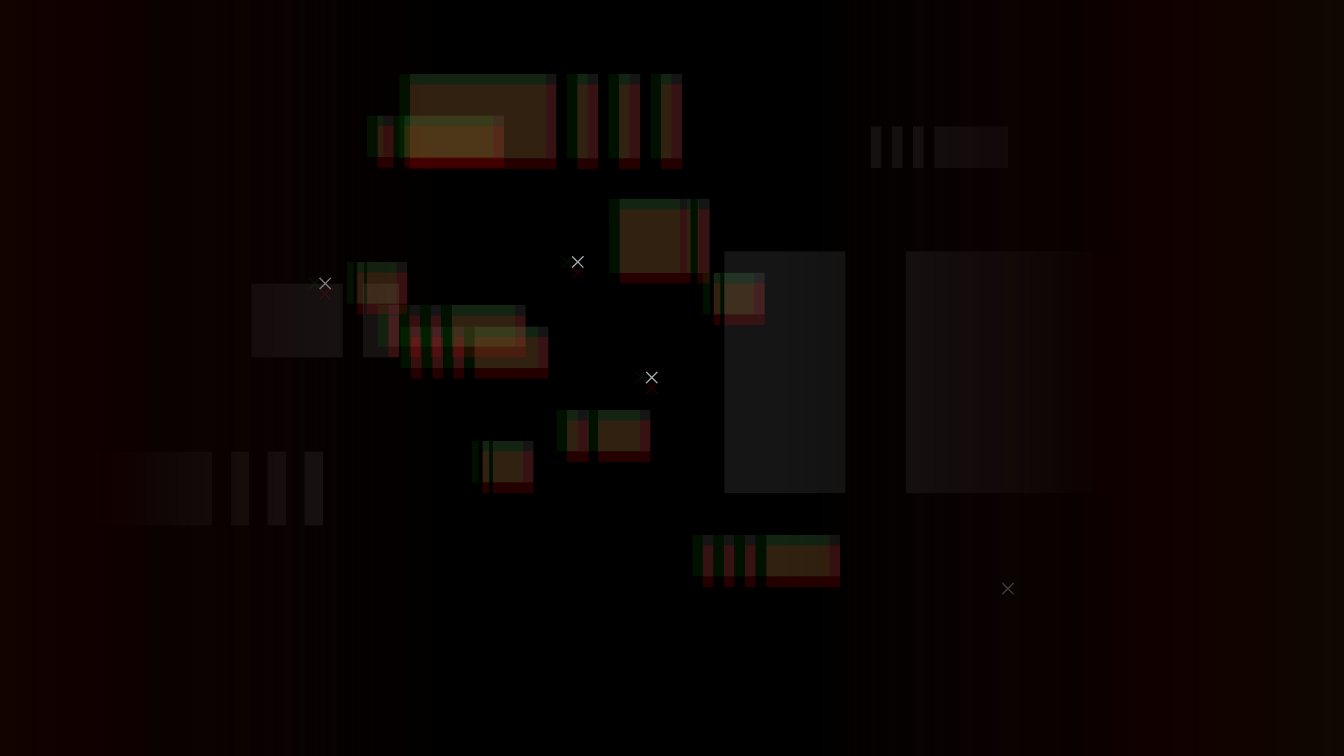
"""Builds a dark glitch-style slide of offset colour bars under fading side panels."""
from lxml import etree
from pptx import Presentation
from pptx.dml.color import RGBColor
from pptx.enum.shapes import MSO_SHAPE
from pptx.oxml.ns import qn
from pptx.util import Inches

RECT = MSO_SHAPE.RECTANGLE
CROSS = MSO_SHAPE.MATH_MULTIPLY

BLACK = RGBColor(0x00, 0x00, 0x00)
NEAR_BLACK = RGBColor(0x0D, 0x0D, 0x0D)
GREY = RGBColor(0x80, 0x80, 0x80)
LIGHT_GREY = RGBColor(0xA6, 0xA6, 0xA6)
RED = RGBColor(0xFF, 0x00, 0x00)
DARK_RED = RGBColor(0xC0, 0x00, 0x00)
GREEN = RGBColor(0x00, 0xC0, 0x09)

SHIFT = 5 / 64
CROSS_SIZE = 0.16
PANEL_W, PANEL_H = 4.92, 6.88
TICKS_FIRST = ((0, 1), (2, 1), (4, 1), (6, 7))
SLAB_FIRST = ((12, 1), (10, 1), (8, 1), (0, 7))


def add_piece(shapes, kind, x, y, w, h):
    sp = shapes.add_shape(kind, Inches(x), Inches(y), Inches(w), Inches(h))
    sp.shadow.inherit = False
    sp.line.fill.background()
    return sp


def set_alpha(color, percent):
    alpha = etree.SubElement(color, qn("a:alpha"))
    alpha.set("val", str(percent * 1000))


strips = [
    (2.89, 2.27, 0.55, 0.31, TICKS_FIRST, True),
    (3.05, 0.55, 1.09, 0.63, SLAB_FIRST, True),
    (3.06, 2.43, 0.55, 0.31, TICKS_FIRST, True),
    (0.62, 3.36, 0.96, 0.55, SLAB_FIRST, False),
    (6.48, 0.94, 0.55, 0.31, TICKS_FIRST, False),
    (5.23, 3.98, 0.55, 0.31, TICKS_FIRST, True),
]
pairs = [
    (1.95, 0.31, ((2.66, 0.05), (2.73, 0.3)), True),
    (3.05, 0.31, ((4.22, 0.16), (4.45, 0.39)), True),
    (0.86, 0.31, ((2.81, 0.12), (3.01, 0.74)), True),
    (1.87, 1.8, ((5.39, 0.9), (6.74, 2.25)), False),
    (3.28, 0.31, ((3.59, 0.05), (3.67, 0.3)), True),
    (1.48, 0.55, ((5.19, 0.09), (4.61, 0.53)), True),
    (2.11, 0.55, ((2.7, 0.27), (1.87, 0.68)), False),
    (2.03, 0.31, ((5.31, 0.05), (5.39, 0.3)), True),
]
crosses = [
    (4.22, 1.87, True),
    (2.34, 2.03, True),
    (7.42, 4.3, False),
    (4.77, 2.73, True),
]
panels = [
    (5.86, -0.94, 0, BLACK, 100, NEAR_BLACK),
    (-1.8, -0.94, 180, BLACK, 100, NEAR_BLACK),
    (6.03, -0.77, 0, DARK_RED, 6, RED),
    (-1.63, -0.77, 180, DARK_RED, 6, RED),
    (7.97, -0.7, 0, GREEN, 6, RED),
    (-3.75, -0.86, 180, GREEN, 6, RED),
]
layers = [
    (0, 0, GREY, 17, LIGHT_GREY, 100, panels),
    (0, SHIFT, RED, 14, RED, 14, []),
    (-SHIFT, 0, GREEN, 9, GREEN, 9, []),
]

bar_groups = list(pairs)
for left, top, slab, height, pattern, echoed in strips:
    unit = slab / 7
    bars = [(left + start * unit, span * unit) for start, span in pattern]
    bar_groups.append((top, height, bars, echoed))

prs = Presentation()
prs.slide_width = Inches(10)
prs.slide_height = Inches(10 * 9 / 16)
s = prs.slides.add_slide(prs.slide_layouts[6])
s.background.fill.solid()
s.background.fill.fore_color.rgb = BLACK

for dx, dy, bar_color, bar_alpha, cross_color, cross_alpha, covers in layers:
    base = dx == dy == 0
    for top, height, bars, echoed in bar_groups:
        if base or echoed:
            group = s.shapes.add_group_shape()
            for x, width in bars:
                sp = add_piece(group.shapes, RECT, x + dx, top + dy, width, height)
                sp.fill.solid()
                sp.fill.fore_color.rgb = bar_color
                set_alpha(sp.element.xpath(".//a:srgbClr")[0], bar_alpha)

    for x, y, echoed in crosses:
        if base or echoed:
            sp = add_piece(s.shapes, CROSS, x + dx, y + dy, CROSS_SIZE, CROSS_SIZE)
            sp.adjustments[0] = 0.059
            sp.fill.solid()
            sp.fill.fore_color.rgb = cross_color
            set_alpha(sp.element.xpath(".//a:srgbClr")[0], cross_alpha)

    for x, y, rotation, inner, inner_alpha, outer in covers:
        sp = add_piece(s.shapes, RECT, x, y, PANEL_W, PANEL_H)
        sp.rotation = rotation
        sp.fill.gradient()
        sp.fill.gradient_angle = 180
        stops = sp.fill.gradient_stops
        for stop, position, color in zip(stops, (0.48, 1), (inner, outer)):
            stop.position = position
            stop.color.rgb = color
        for color, alpha in zip(sp.element.xpath(".//a:srgbClr"), (inner_alpha, 0)):
            set_alpha(color, alpha)

prs.save("out.pptx")
